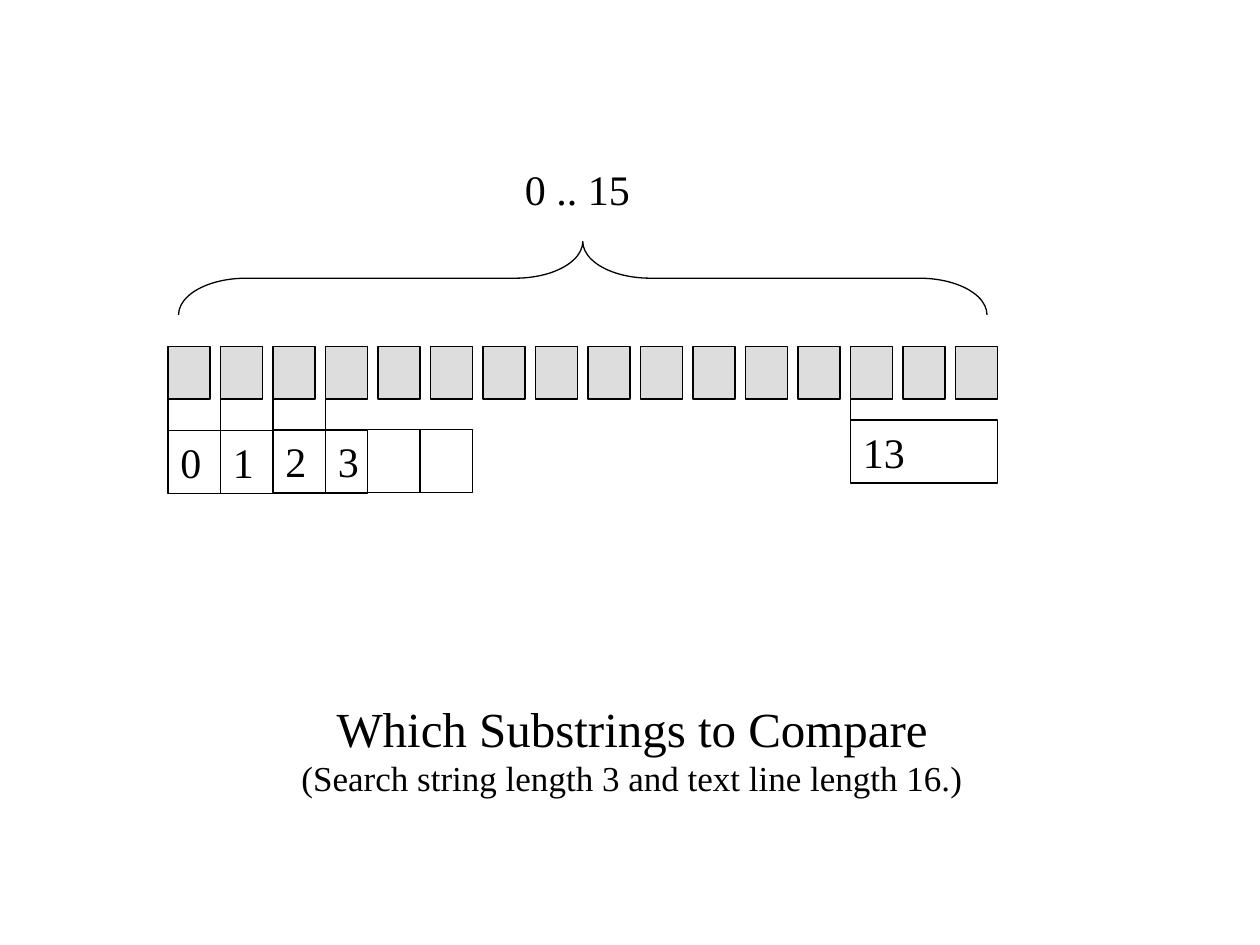
from dataclasses import dataclass

from lxml.etree import SubElement
from pptx import Presentation
from pptx.dml.color import RGBColor as Color
from pptx.enum.shapes import MSO_CONNECTOR as Connector, MSO_SHAPE as Shape
from pptx.enum.text import MSO_ANCHOR as Anchor, PP_ALIGN as Align
from pptx.oxml.ns import qn
from pptx.util import Inches, Pt


@dataclass(frozen=True)
class Theme:
    ink: Color = Color(0, 0, 0)
    cell: Color = Color(0xDD, 0xDD, 0xDD)
    font: str = "Times New Roman"
    title: int = 28
    label: int = 24
    note: int = 20
    line: float = 0.75


THEME = Theme()
UNIT = 10 / 24
TEXT_LENGTH = 16
CELL_WIDTH = 0.8
TEXT_LEFT, TEXT_TOP = 3.2, 6.6


def grid(*units):
    return [Inches(unit * UNIT) for unit in units]


def outline(shape):
    shape.line.color.rgb = THEME.ink
    shape.line.width = Pt(THEME.line)


def add_outlined(shapes, kind, box, fill=None):
    shape = shapes.add_shape(kind, *grid(*box))
    shape.shadow.inherit = False
    if fill is None:
        shape.fill.background()
    else:
        shape.fill.solid()
        shape.fill.fore_color.rgb = fill
    outline(shape)
    return shape


def write(frame, lines, align=Align.LEFT, wrap=True):
    frame.word_wrap = wrap
    frame.vertical_anchor = Anchor.TOP
    for index, (text, size) in enumerate(lines):
        para = frame.add_paragraph() if index else frame.paragraphs[0]
        para.alignment = align
        span = para.add_run()
        span.text = text
        span.font.name = THEME.font
        span.font.size = Pt(size)
        span.font.color.rgb = THEME.ink


def add_text(page, box, lines, wrap=True):
    frame = page.shapes.add_textbox(*grid(*box)).text_frame
    write(frame, lines, Align.CENTER, wrap)


def add_text_line(page, left, top):
    group = page.shapes.add_group_shape()
    for index in range(TEXT_LENGTH):
        add_outlined(group.shapes, Shape.RECTANGLE,
                     (left + index, top, CELL_WIDTH, 1), THEME.cell)


def add_brace(page, left, top, width, height):
    turned = (left + (width - height) / 2, top - (width - height) / 2, height, width)
    brace = add_outlined(page.shapes, Shape.LEFT_BRACE, turned)
    brace.rotation = 90
    brace.adjustments[0] = 0.92


def add_window(page, start, left, top, width, height):
    group = page.shapes.add_group_shape()
    window = add_outlined(group.shapes, Shape.RECTANGLE, (left, top, width, height))
    write(window.text_frame, [(str(start), THEME.label)])
    marker = group.shapes.add_connector(
        Connector.STRAIGHT, *grid(left, TEXT_TOP, left, top + height))
    outline(marker)
    SubElement(marker._element.spPr, qn("a:effectLst"))


def main():
    deck = Presentation()
    deck.slide_width, deck.slide_height = grid(24, 18)
    page = deck.slides.add_slide(deck.slide_layouts[6])

    add_text_line(page, TEXT_LEFT, TEXT_TOP)
    add_brace(page, 3.4, 4.6, 15.4, 1.4)
    add_text(page, (8.6, 3, 4.8, 1.2), [("0 .. 15", THEME.label)])
    windows = [(0, 8.2, 3), (1, 8.2, 2.8), (2, 8.18, 2.8), (3, 8.18, 2.8), (13, 8, 2.8)]
    for start, top, width in windows:
        add_window(page, start, TEXT_LEFT + start, top, width, 1.2)
    add_text(page, (5.5, 13.18, 13.08, 2.16), [
        ("Which Substrings to Compare", THEME.title),
        ("(Search string length 3 and text line length 16.)", THEME.note),
    ], wrap=False)

    deck.save("out.pptx")


if __name__ == "__main__":
    main()
